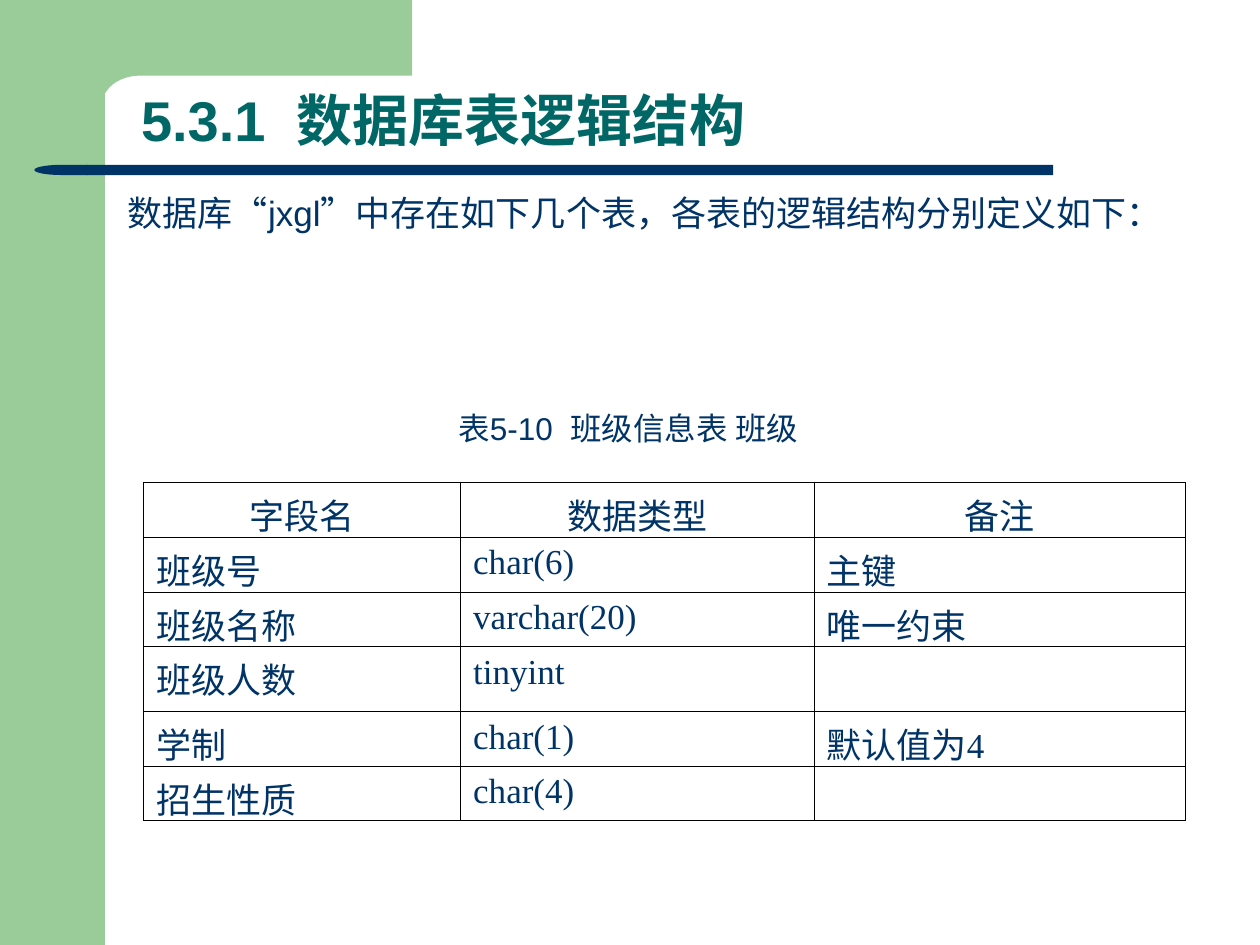
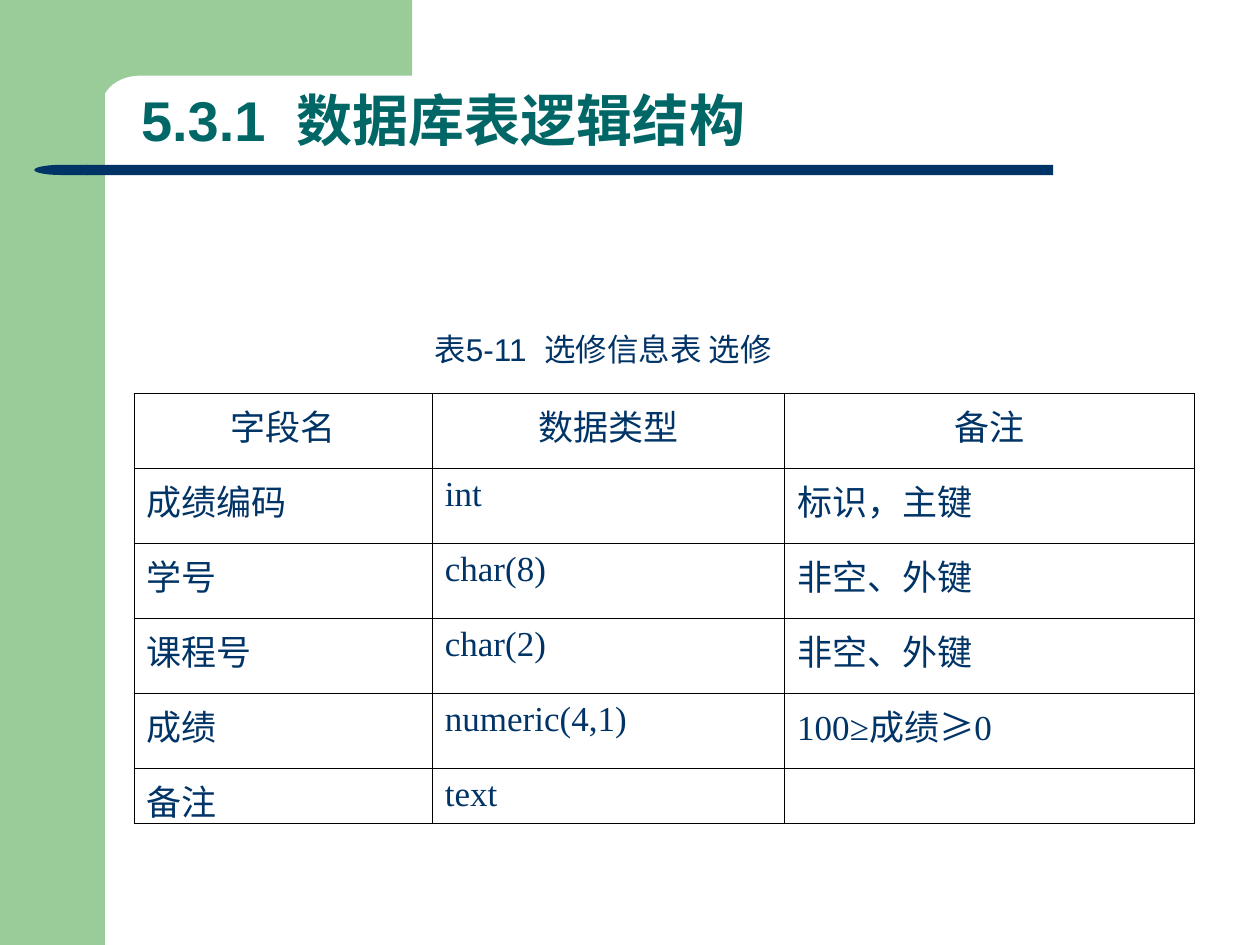
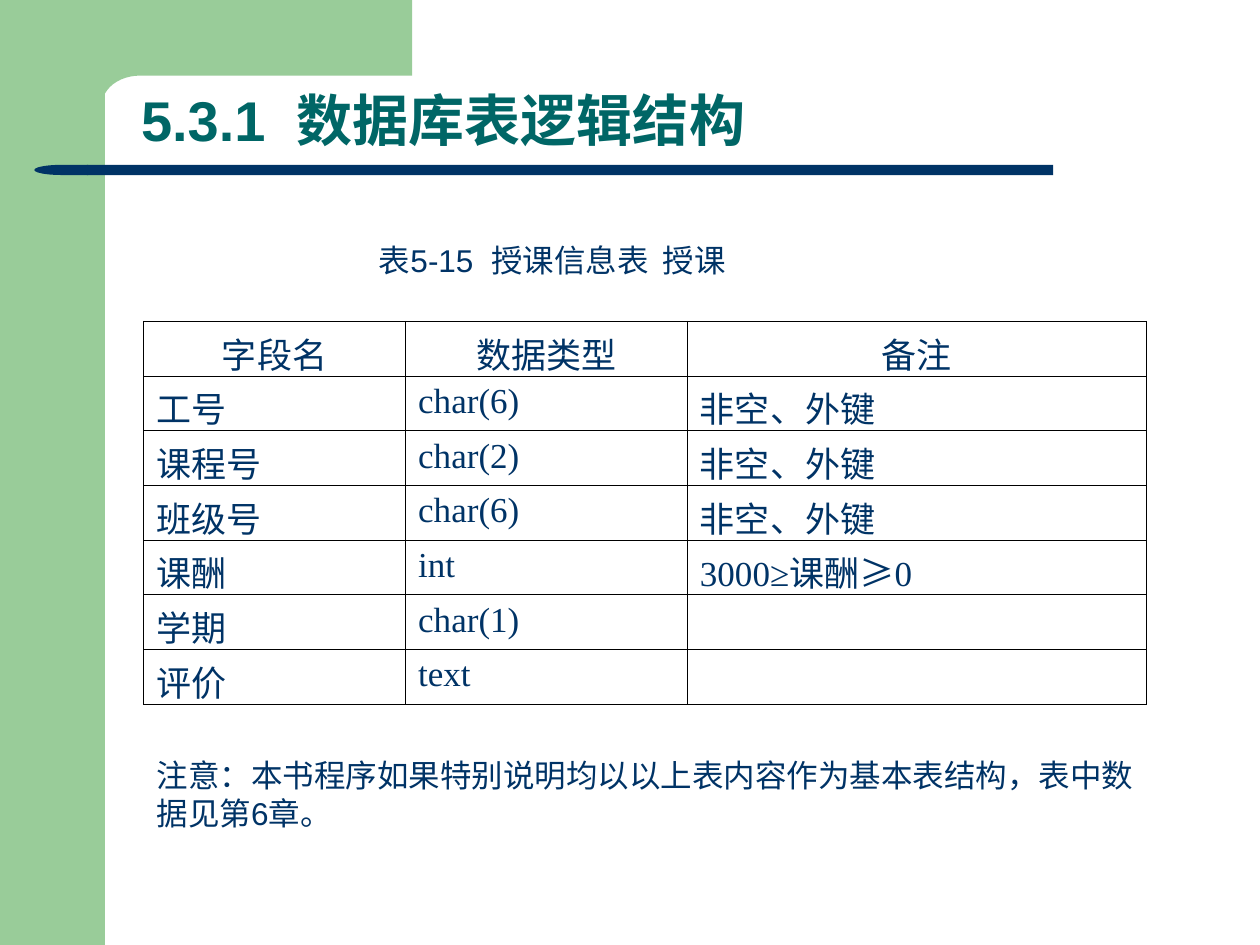
import math

from lxml import etree
from pptx import Presentation
from pptx.dml.color import RGBColor
from pptx.enum import shapes, text
from pptx.oxml import ns
from pptx.util import Pt

# Shared style
GREEN, NAVY, TEAL, BLACK = "99CC99", "003366", "006666", "000000"
SANS, SERIF = "Arial", "Times New Roman"
WIDTH, HEIGHT = 720, 540
TITLE_BOX = (73.4, 51.8, 589.7, 39.6)
CAPTION_SIZE = (230.4, 28.8)
BORDER = 0.45
ROW = 31.25
CELL_BOTTOM = -1.5  # lets tall glyph lines fit the compact rows

# Content
TITLE = "5.3.1  数据库表逻辑结构"
HEADER = ("字段名", "数据类型", "备注")
SLIDES = [
    {
        "intro": ("数据库“jxgl”中存在如下几个表，各表的逻辑结构分别定义如下：",
                  (65.8, 105.8, 589, 45.4)),
        "caption": ("表5-10  班级信息表 班级", (254.9, 230.4)),
        "table_at": (82, 275.8),
        "columns": (181.2, 202, 212.2),
        "heights": [ROW] * 3 + [37] + [ROW] * 2,
        "rows": [
            ("班级号", "char(6)", "主键"),
            ("班级名称", "varchar(20)", "唯一约束"),
            ("班级人数", "tinyint", ""),
            ("学制", "char(1)", "默认值为4"),
            ("招生性质", "char(4)", ""),
        ],
    },
    {
        "caption": ("表5-11  选修信息表 选修", (241.2, 185)),
        "table_at": (76.6, 224.8),
        "columns": (170.4, 201.4, 234),
        "heights": [42.9] * 5 + [ROW],
        "rows": [
            ("成绩编码", "int", "标识，主键"),
            ("学号", "char(8)", "非空、外键"),
            ("课程号", "char(2)", "非空、外键"),
            ("成绩", "numeric(4,1)", "100≥成绩≥0"),
            ("备注", "text", ""),
        ],
    },
    {
        "caption": ("表5-15  授课信息表  授课", (209.5, 133.9)),
        "table_at": (82, 183.6),
        "columns": (149.8, 161, 262.2),
        "heights": [ROW] * 7,
        "rows": [
            ("工号", "char(6)", "非空、外键"),
            ("课程号", "char(2)", "非空、外键"),
            ("班级号", "char(6)", "非空、外键"),
            ("课酬", "int", "3000≥课酬≥0"),
            ("学期", "char(1)", ""),
            ("评价", "text", ""),
        ],
        "note": ("注意：本书程序如果特别说明均以以上表内容作为基本表结构，表中数据见第6章。",
                 (82.4, 428.7, 584, 68.4)),
    },
]


def color(value):
    return RGBColor.from_string(value)


def points(values):
    return [Pt(value) for value in values]


def place(shape, box):
    shape.left, shape.top, shape.width, shape.height = points(box)


def write(frame, content, size=18, font=SANS, fill=NAVY, bold=False, align=text.PP_ALIGN.LEFT,
          anchor=text.MSO_ANCHOR.TOP, spacing=1.0, hanging=0):
    """Put one formatted paragraph into a text frame."""
    frame.word_wrap = True
    frame.auto_size = text.MSO_AUTO_SIZE.NONE
    frame.vertical_anchor = anchor
    paragraph = frame.paragraphs[0]
    properties = paragraph._p.get_or_add_pPr()
    properties.set("marL", str(Pt(hanging)))
    properties.set("indent", str(-Pt(hanging)))
    etree.SubElement(properties, ns.qn("a:buNone"))
    paragraph.alignment = align
    paragraph.line_spacing = spacing
    paragraph.space_before = Pt(0)
    run = paragraph.add_run()
    run.text = content
    run.font.size, run.font.name, run.font.bold = Pt(size), font, bold
    run.font.color.rgb = color(fill)


def add_text_box(slide, content, box, **style):
    write(slide.shapes.add_textbox(*points(box)).text_frame, content, **style)


def add_top_band(slide):
    """Draw the top band with its concave elliptical corner."""
    left, inner, right, bottom, low = 36, 58.3, 235.5, 43.2, 65.5
    center_x, center_y = 80, 60
    angles = [math.pi / 2 * step / 12 for step in range(13)]
    corner = [(center_x - (center_x - inner) * math.sin(angle),
               center_y - (center_y - bottom) * math.cos(angle)) for angle in angles]
    outline = [(right, bottom), *corner, (inner, low), (left, low), (left, 0)]
    builder = slide.shapes.build_freeform(Pt(right), 0)
    builder.add_line_segments([points(point) for point in outline], close=True)
    return builder.convert_to_shape()


def add_bands(slide):
    """Draw the green bands and the title rule with its rounded end."""
    preset = shapes.MSO_SHAPE
    side = slide.shapes.add_shape(preset.RECTANGLE, *points((0, 0, 60, HEIGHT)))
    top = add_top_band(slide)
    rule = slide.shapes.add_shape(preset.ROUNDED_RECTANGLE, *points((49.7, 94.2, 552.1, 5.8)))
    rule.adjustments[0] = 0
    tip = slide.shapes.add_shape(preset.FLOWCHART_DELAY, *points((19.6, 94.2, 30.8, 5.8)))
    tip.rotation = 180
    for shape, fill in ((side, GREEN), (top, GREEN), (rule, NAVY), (tip, NAVY)):
        shape.shadow.inherit = False
        shape.fill.solid()
        shape.fill.fore_color.rgb = color(fill)
        shape.line.fill.background()


def set_borders(cell):
    properties = cell._tc.get_or_add_tcPr()
    for side in ("lnL", "lnR", "lnT", "lnB"):
        line = etree.SubElement(properties, ns.qn("a:" + side), w=str(Pt(BORDER)))
        fill = etree.SubElement(line, ns.qn("a:solidFill"))
        etree.SubElement(fill, ns.qn("a:srgbClr"), val=BLACK)


def add_field_table(slide, content):
    rows = [HEADER] + content["rows"]
    columns, heights = content["columns"], content["heights"]
    box = (*content["table_at"], sum(columns), sum(heights))
    table = slide.shapes.add_table(len(rows), len(columns), *points(box)).table
    table.first_row = table.horz_banding = False
    for column, width in zip(table.columns, columns):
        column.width = Pt(width)
    for row_index, (row, height, values) in enumerate(zip(table.rows, heights, rows)):
        row.height = Pt(height)
        header = row_index == 0
        for cell, value in zip(row.cells, values):
            set_borders(cell)
            cell.fill.background()
            cell.margin_bottom = Pt(CELL_BOTTOM)
            if value:
                write(cell.text_frame, value, size=20, font=SANS if header else SERIF,
                      align=text.PP_ALIGN.CENTER if header else text.PP_ALIGN.LEFT)


def main():
    presentation = Presentation()
    presentation.slide_width, presentation.slide_height = Pt(WIDTH), Pt(HEIGHT)
    title_and_body, title_only = (presentation.slide_layouts[index] for index in (1, 5))

    for content in SLIDES:
        slide = presentation.slides.add_slide(title_and_body if "intro" in content else title_only)
        add_bands(slide)
        place(slide.shapes.title, TITLE_BOX)
        write(slide.shapes.title.text_frame, TITLE, size=32, fill=TEAL, bold=True,
              anchor=text.MSO_ANCHOR.BOTTOM, spacing=0.9)
        if "intro" in content:
            sentence, box = content["intro"]
            body = slide.placeholders[1]
            place(body, box)
            write(body.text_frame, sentence, size=20, hanging=27.4)
        caption, position = content["caption"]
        add_text_box(slide, caption, (*position, *CAPTION_SIZE), anchor=text.MSO_ANCHOR.MIDDLE)
        add_field_table(slide, content)
        if "note" in content:
            add_text_box(slide, *content["note"])

    presentation.save("out.pptx")


if __name__ == "__main__":
    main()
